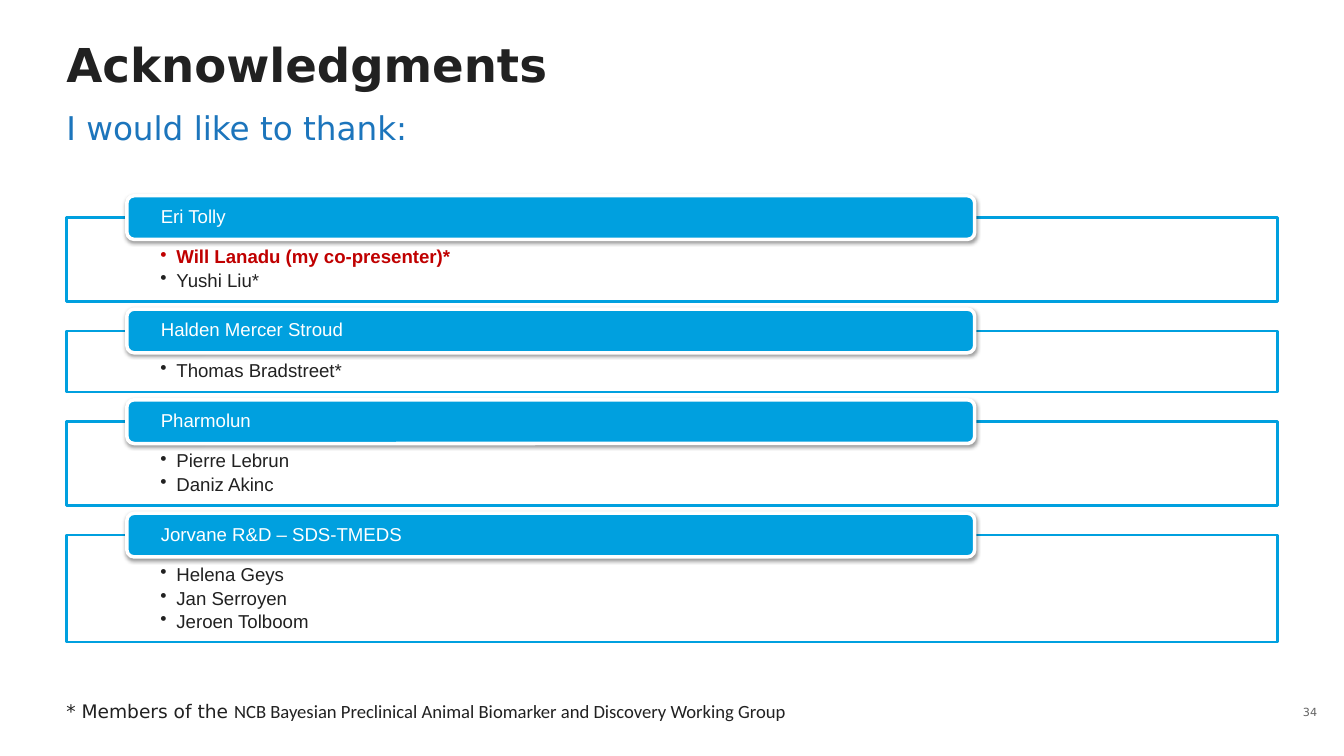
from pptx import Presentation
from pptx.dml.color import RGBColor
from pptx.enum.shapes import MSO_SHAPE
from pptx.enum.text import MSO_ANCHOR, MSO_AUTO_SIZE, PP_ALIGN
from pptx.oxml import parse_xml
from pptx.oxml.ns import nsdecls
from pptx.util import Inches, Pt

COLORS = {"ink": "212121", "blue": "1C75BC", "sky": "00A0DF", "red": "C00000",
          "gray": "646464", "white": "FFFFFF", "shadow": "000000"}
SANS, ARIAL, CALIBRI = "DejaVu Sans", "Arial", "Calibri"
LEFT, CARD_WIDTH = 0.79, 14.42
CARD_TOP, CARD_GAP = 2.59, 0.35
CARD_PADDING, LINE_HEIGHT = 0.46, 0.27
TEAMS = [
    ("Eri Tolly", ["Will Lanadu (my co-presenter)*", "Yushi Liu*"]),
    ("Halden Mercer Stroud", ["Thomas Bradstreet*"]),
    ("Pharmolun", ["Pierre Lebrun", "Daniz Akinc"]),
    ("Jorvane R&D – SDS-TMEDS", ["Helena Geys", "Jan Serroyen", "Jeroen Tolboom"]),
]
CO_PRESENTER = TEAMS[0][1][0]


def color(name):
    return RGBColor.from_string(COLORS[name])


def place(box, left, top, width, height):
    box.left, box.top, box.width, box.height = map(Inches, (left, top, width, height))


def set_frame(box, anchor=MSO_ANCHOR.TOP, insets=(0, 0, 0, 0)):
    """Prepare the text frame; insets run left, top, right, bottom."""
    frame = box.text_frame
    frame.word_wrap = True
    frame.auto_size = MSO_AUTO_SIZE.NONE
    frame.vertical_anchor = anchor
    (frame.margin_left, frame.margin_top,
     frame.margin_right, frame.margin_bottom) = map(Inches, insets)
    return frame


def set_bullet(para, char=None, indent=0):
    props = para._p.get_or_add_pPr()
    props.set("marL", str(Inches(indent)))
    props.set("indent", str(-Inches(indent)))
    tag = f'<a:buChar {nsdecls("a")} char="{char}"/>' if char else f'<a:buNone {nsdecls("a")}/>'
    props.append(parse_xml(tag))


def format_para(para, align=PP_ALIGN.LEFT, spacing=1.0, after=0):
    para.alignment = align
    para.line_spacing = spacing
    para.space_before = Pt(0)
    para.space_after = Pt(after)


def add_span(para, text, size, font, ink, bold=False):
    span = para.add_run()
    span.text = text
    span.font.size = Pt(size)
    span.font.name = font
    span.font.bold = bold
    span.font.color.rgb = color(ink)


def add_panel(page, shape, bounds, fill, line, width):
    panel = page.shapes.add_shape(shape, *map(Inches, bounds))
    panel.shadow.inherit = False
    panel.fill.solid()
    panel.fill.fore_color.rgb = color(fill)
    panel.line.color.rgb = color(line)
    panel.line.width = Pt(width)
    return panel


def add_shadow(box):
    effects = box._element.spPr.find("{*}effectLst")
    effects.append(parse_xml(
        f'<a:outerShdw {nsdecls("a")} blurRad="{Pt(3.1)}" dist="{Pt(1.6)}" dir="5400000" '
        f'rotWithShape="0"><a:srgbClr val="{COLORS["shadow"]}">'
        '<a:alpha val="38000"/></a:srgbClr></a:outerShdw>'))


def add_team(page, left, top, width, height, team, members):
    card = add_panel(page, MSO_SHAPE.RECTANGLE, (left, top, width, height), "white", "sky", 2)
    frame = set_frame(card, insets=(1.12, 0.36, 1.12, 0.12))
    for index, member in enumerate(members):
        para = frame.add_paragraph() if index else frame.paragraphs[0]
        set_bullet(para, "•", 0.19)
        format_para(para, spacing=0.9, after=3)
        lead = member == CO_PRESENTER
        add_span(para, member, 16, ARIAL, "red" if lead else "ink", lead)

    header = add_panel(page, MSO_SHAPE.ROUNDED_RECTANGLE,
                       (left + 0.72, top - 0.26, width * 0.7, 0.52), "sky", "white", 3)
    add_shadow(header)
    para = set_frame(header, MSO_ANCHOR.MIDDLE, (0.38, 0, 0.38, 0)).paragraphs[0]
    format_para(para, spacing=0.9)
    add_span(para, team, 16, ARIAL, "white")


def add_heading(page, left, top):
    title, subtitle = page.shapes.title, page.placeholders[1]
    place(title, left, top, 13.31, 0.61)
    para = set_frame(title).paragraphs[0]
    format_para(para, spacing=0.9)
    add_span(para, "Acknowledgments", 40, SANS, "ink", True)

    place(subtitle, left, top + 0.78, 14.41, 0.47)
    para = set_frame(subtitle).paragraphs[0]
    set_bullet(para)
    format_para(para)
    add_span(para, "I would like to thank:", 28, SANS, "blue")


def add_footer(page, left, top):
    note = page.placeholders[2]
    place(note, left, top, 11, 0.36)
    para = set_frame(note, MSO_ANCHOR.BOTTOM).paragraphs[0]
    set_bullet(para)
    format_para(para)
    add_span(para, "* Members of the ", 16, SANS, "ink")
    add_span(para, "NCB Bayesian Preclinical Animal Biomarker and Discovery Working Group",
             16, CALIBRI, "ink")

    number = page.shapes.add_textbox(*map(Inches, (15.28, top + 0.02, 0.5, 0.44)))
    para = set_frame(number, MSO_ANCHOR.MIDDLE, (0.1, 0.05, 0.1, 0.05)).paragraphs[0]
    format_para(para, PP_ALIGN.RIGHT)
    add_span(para, "34", 9.6, SANS, "gray")


def main():
    deck = Presentation()
    deck.slide_width, deck.slide_height = Inches(16), Inches(9)
    page = deck.slides.add_slide(deck.slide_layouts.get_by_name("Two Content"))
    add_heading(page, LEFT, 0.5)
    top = CARD_TOP
    for team, members in TEAMS:
        height = CARD_PADDING + LINE_HEIGHT * len(members)
        add_team(page, LEFT, top, CARD_WIDTH, height, team, members)
        top += height + CARD_GAP
    add_footer(page, LEFT, 8.24)
    deck.save("out.pptx")


if __name__ == "__main__":
    main()
